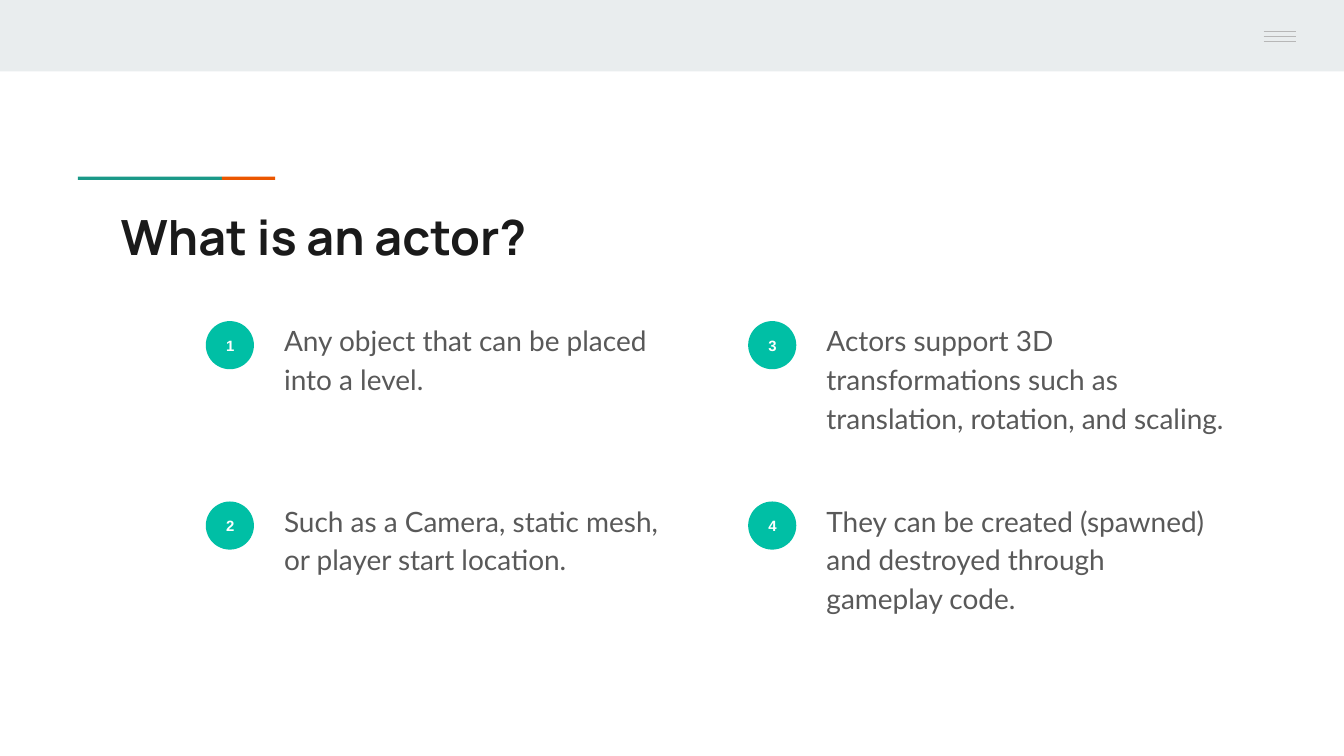
from dataclasses import dataclass

from lxml import etree
from pptx import Presentation, util as u
from pptx.dml.color import RGBColor
from pptx.enum import shapes, text
from pptx.oxml.ns import qn


@dataclass(frozen=True)
class Theme:
    """Colours, fonts and type sizes of the deck."""
    band: str = "E9EDEE"
    menu: str = "B7B7B7"
    teal: str = "1A9988"
    orange: str = "EB5600"
    badge: str = "00BFA5"
    white: str = "FFFFFF"
    title: str = "1A1A1A"
    body: str = "595959"
    title_font: str = "Manrope"
    body_font: str = "Lato"
    badge_font: str = "Arial"
    title_size: int = 26
    body_size: int = 15
    badge_size: int = 8


THEME = Theme()
POINTS = [
    ("Any object that can be placed into a level.", 7.87),
    ("Such as a Camera, static mesh, or player start location.", 7.87),
    ("Actors support 3D transformations such as translation, rotation, and scaling.", 8.56),
    ("They can be created (spawned) and destroyed through gameplay code.", 7.87),
]


def place(box):
    """Turn a box in centimetres into lengths."""
    return [u.Cm(value) for value in box]


def add_block(page, kind, box, color):
    """Add a plain filled shape."""
    block = page.shapes.add_shape(kind, *place(box))
    block.shadow.inherit = False
    block.fill.solid()
    block.fill.fore_color.rgb = RGBColor.from_string(color)
    block.line.fill.background()
    return block


def write(shape, words, font, size, color, bold=False):
    """Write one run into a shape and return its paragraph."""
    frame = shape.text_frame
    frame.word_wrap = True
    frame.margin_left = frame.margin_right = u.Cm(0.25)
    frame.margin_top = frame.margin_bottom = u.Cm(0.25)
    para = frame.paragraphs[0]
    span = para.add_run()
    span.text = words
    span.font.name = font
    span.font.size = u.Pt(size)
    span.font.bold = bold
    span.font.color.rgb = RGBColor.from_string(color)
    return para


def add_header(page, box):
    """Draw the top band with its menu lines."""
    left, top, width, height = box
    add_block(page, shapes.MSO_SHAPE.RECTANGLE, box, THEME.band)
    right = left + width - 0.91
    for index in range(3):
        level = top + 0.6 + 0.09 * index
        line = page.shapes.add_connector(
            shapes.MSO_CONNECTOR.STRAIGHT, *place((right - 0.61, level, right, level)))
        line.line.color.rgb = RGBColor.from_string(THEME.menu)
        line.line.width = u.Pt(0.75)
        etree.SubElement(line._element.spPr, qn("a:effectLst"))


def add_accent(page, box):
    """Draw the two-colour rule above the title."""
    left, top, width, height = box
    split = width * 0.73
    add_block(page, shapes.MSO_SHAPE.RECTANGLE, (left, top, split, height), THEME.teal)
    add_block(page, shapes.MSO_SHAPE.RECTANGLE,
              (left + split, top, width - split, height), THEME.orange)


def add_title(page, box):
    """Write the slide title."""
    title = page.shapes.add_textbox(*place(box))
    write(title, "What is an actor?", THEME.title_font, THEME.title_size, THEME.title, True)


def add_point(page, box, number, words):
    """Place a numbered badge and the text beside it."""
    left, top, width, height = box
    badge = add_block(page, shapes.MSO_SHAPE.OVAL, (left, top + 0.29, 0.91, 0.91), THEME.badge)
    para = write(badge, str(number), THEME.badge_font, THEME.badge_size, THEME.white, True)
    para.alignment = text.PP_ALIGN.CENTER
    badge.text_frame.vertical_anchor = text.MSO_ANCHOR.MIDDLE
    label = page.shapes.add_textbox(*place((left + 1.23, top, width, height)))
    para = write(label, words, THEME.body_font, THEME.body_size, THEME.body)
    para.line_spacing = 1.15
    para.space_after = u.Pt(16)


def add_points(page, box):
    """Lay the points out in two columns, filled downwards."""
    left, top, width, height = box
    for index, (words, label_width) in enumerate(POINTS):
        column, row = divmod(index, 2)
        cell = (left + column * width / 2, top + row * height / 2, label_width, 2.92)
        add_point(page, cell, index + 1, words)


def main():
    """Build and save the deck."""
    deck = Presentation()
    deck.slide_width, deck.slide_height = u.Cm(25.4), u.Cm(14.29)
    page = deck.slides.add_slide(deck.slide_layouts[6])
    add_header(page, (0, 0, 25.4, 1.35))
    add_accent(page, (1.47, 3.34, 3.73, 0.06))
    add_title(page, (2.03, 3.66, 21.36, 1.5))
    add_points(page, (3.89, 5.78, 20.5, 6.82))
    deck.save("out.pptx")


if __name__ == "__main__":
    main()
